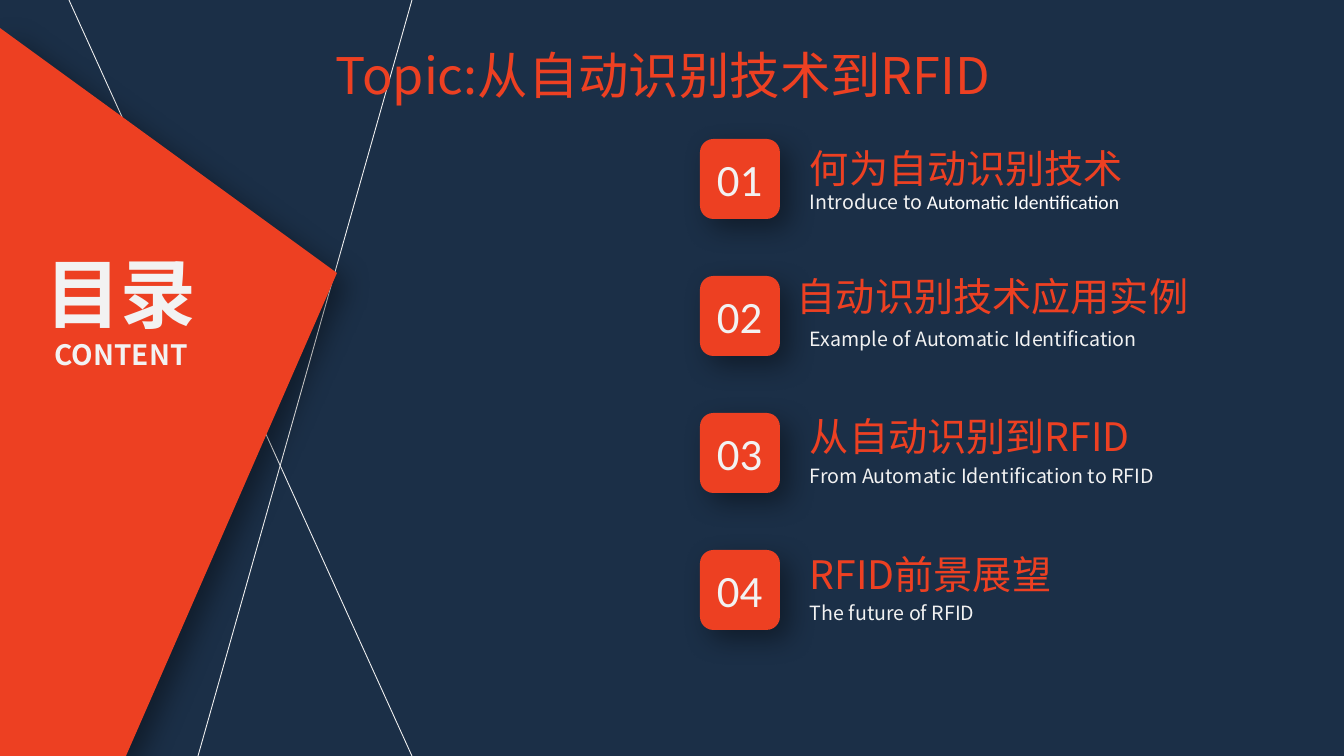
"""Build the contents slide of a talk on automatic identification and RFID."""
from lxml import etree
from pptx import Presentation
from pptx.dml.color import RGBColor
from pptx.enum.shapes import MSO_CONNECTOR, MSO_SHAPE
from pptx.enum.text import MSO_AUTO_SIZE, PP_ALIGN
from pptx.oxml.ns import qn
from pptx.util import Pt

STRAIGHT = MSO_CONNECTOR.STRAIGHT
ROUNDED = MSO_SHAPE.ROUNDED_RECTANGLE
GROW = MSO_AUTO_SIZE.SHAPE_TO_FIT_TEXT
LEFT, CENTER = PP_ALIGN.LEFT, PP_ALIGN.CENTER

THEME = {
    "navy": "1B2F47", "orange": "ED4022", "pale": "F2F2F2", "white": "FFFFFF",
    "cjk": "Noto Sans CJK SC", "latin": "Calibri",
    "label": 54, "sublabel": 20, "topic": 36, "number": 32, "heading": 28, "caption": 14,
}
TOPIC = "Topic:从自动识别技术到RFID"
LABEL, SUBLABEL = "目录", "CONTENT"
# heading, heading offset (x, y) in its row, caption runs
CHAPTERS = [
    ("何为自动识别技术", (0, 0), [("Introduce to ", "cjk", "pale"),
                          ("Automatic Identification", "latin", "white")]),
    ("自动识别技术应用实例", (-13, -9), [("Example of Automatic Identification", "cjk", "pale")]),
    ("从自动识别到RFID", (0, -6), [("From Automatic Identification to RFID", "cjk", "pale")]),
    ("RFID前景展望", (0, -5), [("The future of RFID", "cjk", "pale")]),
]
RAYS = [((412, 0), (198, 756)), ((412, 756), (69, 0))]
WEDGE = [(126, 756), (0, 756), (0, 28), (337, 273)]

PX = 914400 / 100.8
TILE_X, TILE_Y, TILE, ROW_PITCH = 700, 139, 80, 137
TEXT_X, TEXT_W = 800, 462


def px(length):
    return round(length * PX)


def color(key):
    return RGBColor.from_string(THEME[key])


def style(font, face, tint, size, bold=None):
    font.name, font.size, font.bold = THEME[face], Pt(THEME[size]), bold
    font.color.rgb = color(tint)
    latin = font._rPr.find(qn("a:latin"))
    east_asian = etree.Element(qn("a:ea"), typeface=THEME[face])
    latin.addnext(east_asian)


def add_text(slide, box, paragraphs, align=LEFT):
    """Add a text box of paragraphs, each a (runs, size, bold) tuple."""
    frame = slide.shapes.add_textbox(*map(px, box)).text_frame
    frame.word_wrap, frame.auto_size = True, GROW
    for index, (runs, size, bold) in enumerate(paragraphs):
        line = frame.add_paragraph() if index else frame.paragraphs[0]
        line.alignment = align
        shared = len({(face, tint) for _, face, tint in runs}) == 1
        if shared:
            style(line.font, *runs[0][1:], size, bold)
        for words, face, tint in runs:
            run = line.add_run()
            run.text = words
            if not shared:
                style(run.font, face, tint, size, bold)


def paint_raised(shape):
    shape.fill.solid()
    shape.fill.fore_color.rgb = color("orange")
    shape.line.fill.background()
    shape.shadow.inherit = False
    effects = shape._element.spPr.find(qn("a:effectLst"))
    shadow = etree.SubElement(effects, qn("a:outerShdw"), blurRad=str(Pt(20)), dist=str(Pt(10)),
                              dir="2700000", algn="tl", rotWithShape="0")
    black = etree.SubElement(shadow, qn("a:srgbClr"), val="000000")
    etree.SubElement(black, qn("a:alpha"), val="40000")


def add_ray(slide, start, end):
    ray = slide.shapes.add_connector(STRAIGHT, *map(px, start + end))
    ray.line.color.rgb = color("pale")
    ray.line.width = Pt(0.63)
    etree.SubElement(ray._element.spPr, qn("a:effectLst"))


def add_chapter(slide, index, heading, offset, caption):
    top = TILE_Y + index * ROW_PITCH
    tile = slide.shapes.add_shape(ROUNDED, *map(px, (TILE_X, top, TILE, TILE)))
    paint_raised(tile)
    add_text(slide, (TILE_X + 7, top + 8, 67, 64),
             [([(f"{index + 1:02}", "latin", "pale")], "number", None)])
    add_text(slide, (TEXT_X, top + 46, TEXT_W, 34), [(caption, "caption", None)])
    add_text(slide, (TEXT_X + offset[0], top + offset[1], TEXT_W, 57),
             [([(heading, "cjk", "orange")], "heading", None)])


def main():
    deck = Presentation()
    deck.slide_width, deck.slide_height = px(1344), px(756)
    slide = deck.slides.add_slide(deck.slide_layouts[6])
    slide.background.fill.solid()
    slide.background.fill.fore_color.rgb = color("navy")

    for start, end in RAYS:
        add_ray(slide, start, end)
    outline = slide.shapes.build_freeform(*WEDGE[0], scale=PX)
    outline.add_line_segments(WEDGE[1:], close=True)
    paint_raised(outline.convert_to_shape())

    add_text(slide, (24, 242, 194, 136),
             [([(LABEL, "cjk", "pale")], "label", True),
              ([(SUBLABEL, "cjk", "pale")], "sublabel", True)], CENTER)
    add_text(slide, (326, 39, 721, 72), [([(TOPIC, "cjk", "orange")], "topic", None)])
    for index, chapter in enumerate(CHAPTERS):
        add_chapter(slide, index, *chapter)
    deck.save("out.pptx")


if __name__ == "__main__":
    main()
